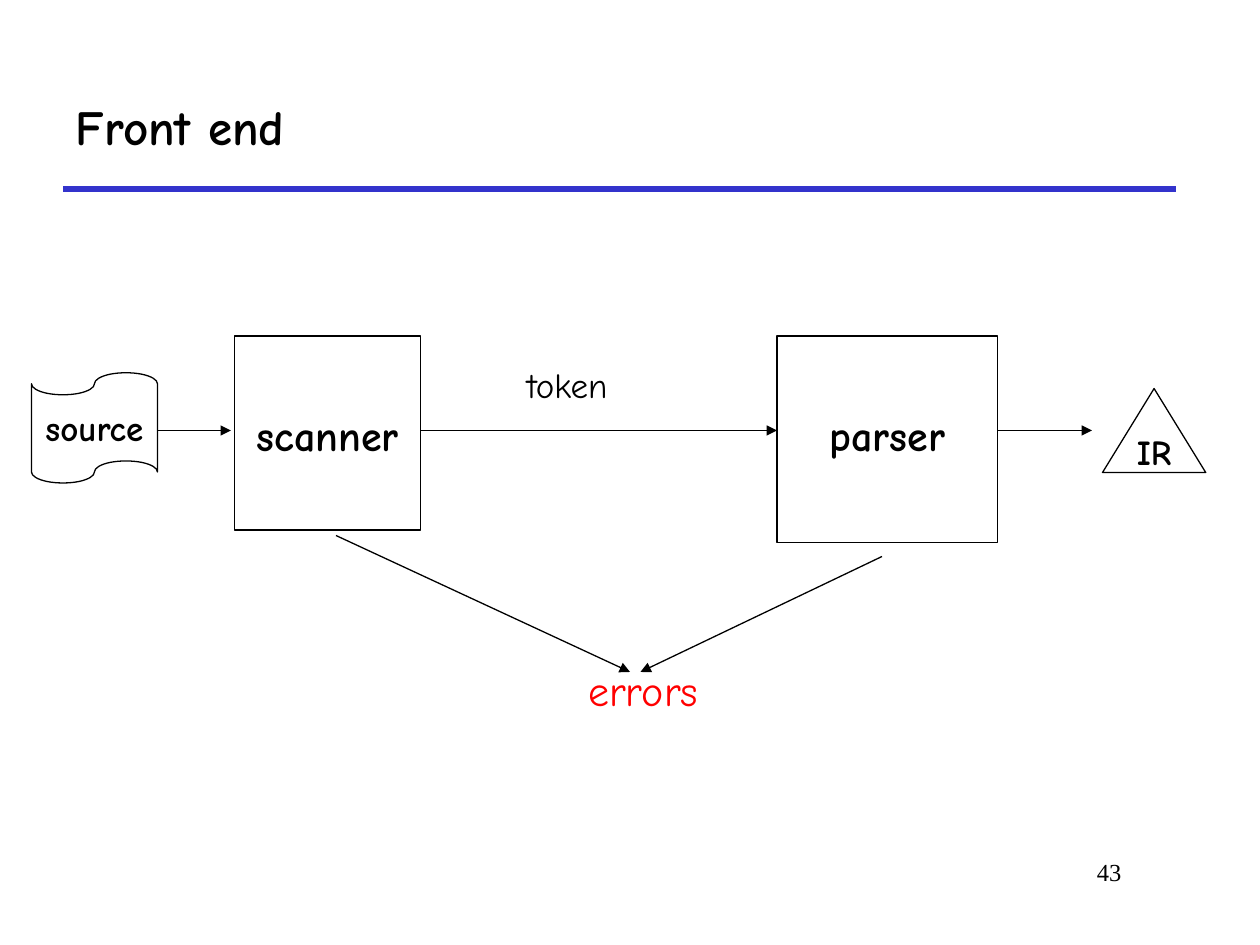
"""Build the "Front end" slide: source, scanner, parser, IR and their errors."""
import pptx
import pptx.dml.color
import pptx.enum.shapes
import pptx.enum.text
import pptx.oxml.ns
import pptx.util
from lxml import etree

Pt = pptx.util.Pt
SHAPE = pptx.enum.shapes.MSO_SHAPE
ALIGN = pptx.enum.text.PP_ALIGN
ANCHOR = pptx.enum.text.MSO_ANCHOR


def color(hex_code):
    """Turn a hex string into a colour."""
    return pptx.dml.color.RGBColor.from_string(hex_code)


def write(sp, text, size=20, font="Comic Neue", fill="000000", bold=False,
          align=ALIGN.LEFT, anchor=ANCHOR.TOP, wrap=False, top=3.6):
    """Put one formatted paragraph in a shape."""
    tf = sp.text_frame
    tf.word_wrap = wrap
    tf.auto_size = pptx.enum.text.MSO_AUTO_SIZE.NONE
    tf.vertical_anchor = anchor
    tf.margin_top = Pt(top)
    p = tf.paragraphs[0]
    p.alignment = align
    r = p.add_run()
    r.text = text
    r.font.size = Pt(size)
    r.font.name = font
    r.font.bold = bold
    r.font.color.rgb = color(fill)


prs = pptx.Presentation()
prs.slide_width, prs.slide_height = Pt(720), Pt(540)
s = prs.slides.add_slide(prs.slide_layouts[5])

title = s.shapes.title
title.left, title.top, title.width, title.height = Pt(36), Pt(36), Pt(636), Pt(72)
write(title, "Front end", size=28, bold=True, anchor=ANCHOR.MIDDLE, wrap=True)

boxes = [
    (SHAPE.RECTANGLE, "scanner", 134, 192, 106.5, 111, 24, ANCHOR.TOP, 42),
    (SHAPE.RECTANGLE, "parser", 444, 192, 126, 118, 24, ANCHOR.TOP, 42),
    (SHAPE.WAVE and SHAPE.FLOWCHART_PUNCHED_TAPE, "source", 18, 213, 72, 63, 20, ANCHOR.MIDDLE, 3.6),
    (SHAPE.ISOSCELES_TRIANGLE, "IR", 630, 222, 59, 48, 20, ANCHOR.MIDDLE, 3.6),
]
for kind, text, x, y, w, h, size, anchor, top in boxes:
    sp = s.shapes.add_shape(kind, Pt(x), Pt(y), Pt(w), Pt(h))
    sp.shadow.inherit = False
    sp.fill.solid()
    sp.fill.fore_color.rgb = color("FFFFFF")
    sp.line.color.rgb = color("000000")
    sp.line.width = Pt(0.75)
    write(sp, text, size=size, bold=True, align=ALIGN.CENTER, anchor=anchor, top=top)

lines = [
    (36, 108, 672, 108, "3333CC", 3, False),
    (90, 246, 132, 246, "000000", 0.75, True),
    (240.5, 246, 444, 246, "000000", 0.75, True),
    (570, 246, 624, 246, "000000", 0.75, True),
    (192, 306, 360, 384, "000000", 0.75, True),
    (504, 318, 366, 384, "000000", 0.75, True),
]
for x1, y1, x2, y2, stroke, width, arrow in lines:
    c = s.shapes.add_connector(pptx.enum.shapes.MSO_CONNECTOR.STRAIGHT,
                               Pt(x1), Pt(y1), Pt(x2), Pt(y2))
    c.line.color.rgb = color(stroke)
    c.line.width = Pt(width)
    if arrow:
        etree.SubElement(c.line._get_or_add_ln(), pptx.oxml.ns.qn("a:tailEnd"), type="triangle")
    etree.SubElement(c._element.spPr, pptx.oxml.ns.qn("a:effectLst"))

labels = [
    ("token", 294, 204, 67, 31, {}),
    ("errors", 329, 376, 86, 36, {"size": 24, "fill": "FF0000"}),
    ("43", 546, 486, 102, 36, {"size": 14, "font": "Times New Roman",
                               "align": ALIGN.RIGHT, "wrap": True}),
]
for text, x, y, w, h, style in labels:
    write(s.shapes.add_textbox(Pt(x), Pt(y), Pt(w), Pt(h)), text, **style)

prs.save("out.pptx")
